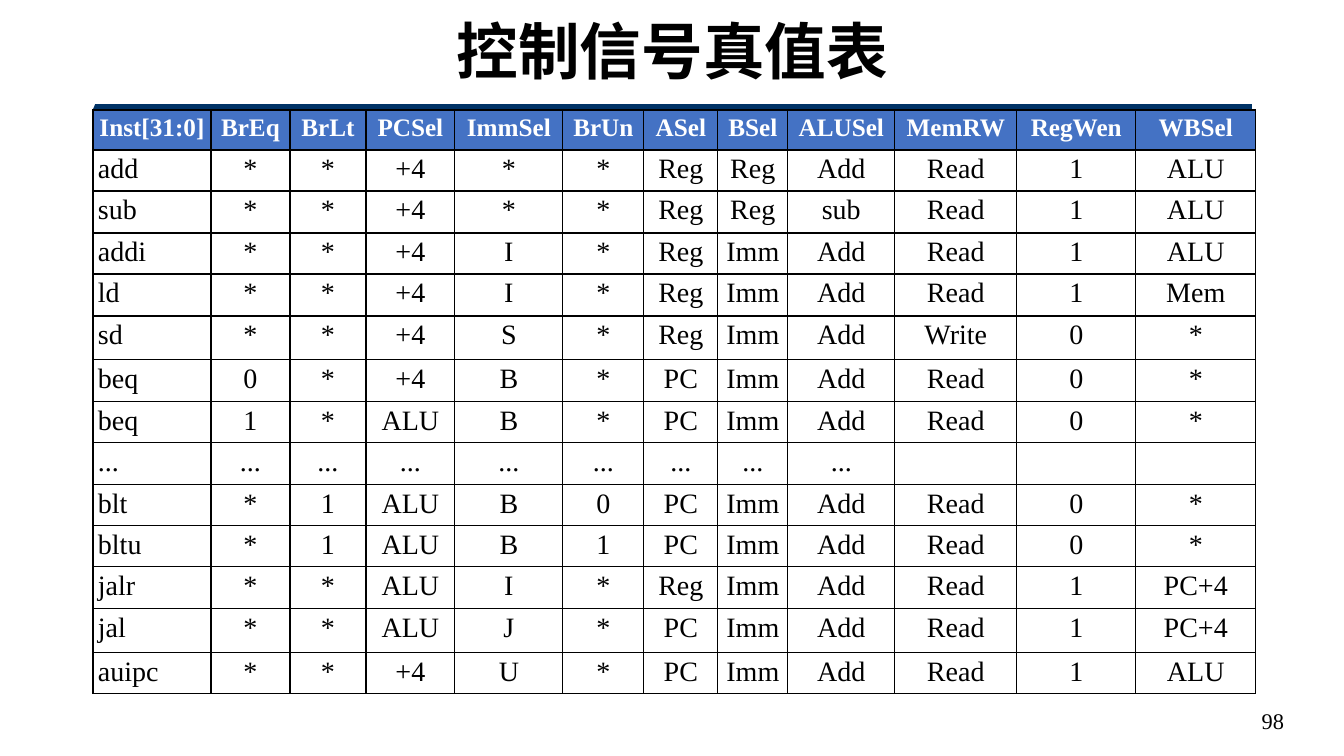
from dataclasses import dataclass

from lxml.etree import SubElement as Sub
from pptx import Presentation
from pptx.dml.color import RGBColor as Color
from pptx.enum.shapes import MSO_SHAPE as Kind
from pptx.enum.text import MSO_ANCHOR as Anchor, PP_ALIGN as Align
from pptx.oxml.ns import qn
from pptx.util import Pt

SCALE = 12192000 / 1344


@dataclass(frozen=True)
class Theme:
    face: str = "Times New Roman"
    ink: str = "000000"
    paper: str = "FFFFFF"
    navy: str = "003366"
    blue: str = "4472C4"
    title: int = 44
    head: int = 18
    body: int = 20
    foot: int = 16
    rule: int = 1


THEME = Theme()

WIDTHS = [118, 79, 76, 89, 108, 81, 74, 70, 107, 122, 119, 120]
HEIGHTS = [40, 41, 42, 41, 42, 44, 42, 41, 42, 41, 41, 42, 44, 41]
SIGNALS = """
Inst[31:0] BrEq BrLt PCSel ImmSel BrUn ASel BSel ALUSel MemRW RegWen WBSel
add * * +4 * * Reg Reg Add Read 1 ALU
sub * * +4 * * Reg Reg sub Read 1 ALU
addi * * +4 I * Reg Imm Add Read 1 ALU
ld * * +4 I * Reg Imm Add Read 1 Mem
sd * * +4 S * Reg Imm Add Write 0 *
beq 0 * +4 B * PC Imm Add Read 0 *
beq 1 * ALU B * PC Imm Add Read 0 *
... ... ... ... ... ... ... ... ...
blt * 1 ALU B 0 PC Imm Add Read 0 *
bltu * 1 ALU B 1 PC Imm Add Read 0 *
jalr * * ALU I * Reg Imm Add Read 1 PC+4
jal * * ALU J * PC Imm Add Read 1 PC+4
auipc * * +4 U * PC Imm Add Read 1 ALU
"""


def px(n):
    return round(n * SCALE)


def place(shape, box):
    shape.left, shape.top, shape.width, shape.height = map(px, box)


def write(frame, text, size, color, align, bold=False):
    para = frame.paragraphs[0]
    para.alignment = align
    run = para.add_run()
    run.text = text
    font = run.font
    font.name, font.size, font.bold = THEME.face, Pt(size), bold
    font.color.rgb = Color.from_string(color)
    return para


def add_title(slide, box, text):
    title = slide.shapes.title
    place(title, box)
    frame = title.text_frame
    frame.word_wrap = True
    frame.vertical_anchor = Anchor.MIDDLE
    para = write(frame, text, THEME.title, THEME.ink, Align.CENTER, True)
    para.line_spacing = 0.9


def add_band(slide, box):
    band = slide.shapes.add_shape(Kind.PENTAGON, *map(px, box))
    band.adjustments[0] = 0.2
    band.shadow.inherit = False
    band.fill.solid()
    band.fill.fore_color.rgb = Color.from_string(THEME.navy)
    band.line.fill.background()
    band._element.spPr.find(qn("a:xfrm")).set("flipH", "1")
    slide.shapes._spTree.insert(2, band._element)


def edge(cell):
    props = cell._tc.get_or_add_tcPr()
    for side in "LRTB":
        line = Sub(props, qn(f"a:ln{side}"), w=str(Pt(THEME.rule)))
        fill = Sub(line, qn("a:solidFill"))
        Sub(fill, qn("a:srgbClr"), val=THEME.ink)


def add_cell(cell, text, top, first):
    edge(cell)
    cell.fill.solid()
    cell.fill.fore_color.rgb = Color.from_string(THEME.blue if top else THEME.paper)
    cell.margin_left = cell.margin_right = cell.margin_bottom = px(5)
    cell.margin_top = px(4)
    if text:
        size = THEME.head if top else THEME.body
        color = THEME.paper if top else THEME.ink
        align = Align.LEFT if first and not top else Align.CENTER
        write(cell.text_frame, text, size, color, align, top)


def add_grid(slide, left, top):
    rows = [line.split() for line in SIGNALS.strip().splitlines()]
    box = left, top, sum(WIDTHS), sum(HEIGHTS)
    grid = slide.shapes.add_table(len(rows), len(WIDTHS), *map(px, box)).table
    grid.horz_banding = False
    for col, width in zip(grid.columns, WIDTHS):
        col.width = px(width)
    for r, (row, height, words) in enumerate(zip(grid.rows, HEIGHTS, rows)):
        row.height = px(height)
        words += [""] * (len(WIDTHS) - len(words))
        for c, word in enumerate(words):
            add_cell(grid.cell(r, c), word, r == 0, c == 0)


def add_page(slide, box, text):
    frame = slide.shapes.add_textbox(*map(px, box)).text_frame
    frame.word_wrap = True
    frame.vertical_anchor = Anchor.MIDDLE
    write(frame, text, THEME.foot, THEME.ink, Align.RIGHT)


def main():
    deck = Presentation()
    deck.slide_width, deck.slide_height = px(1344), px(756)
    slide = deck.slides.add_slide(deck.slide_layouts[5])
    add_band(slide, (93, 104, 1159, 11))
    add_title(slide, (93, 13, 1159, 83), "控制信号真值表")
    add_grid(slide, 93, 110)
    add_page(slide, (992, 701, 302, 40), "98")
    deck.save("out.pptx")


if __name__ == "__main__":
    main()
